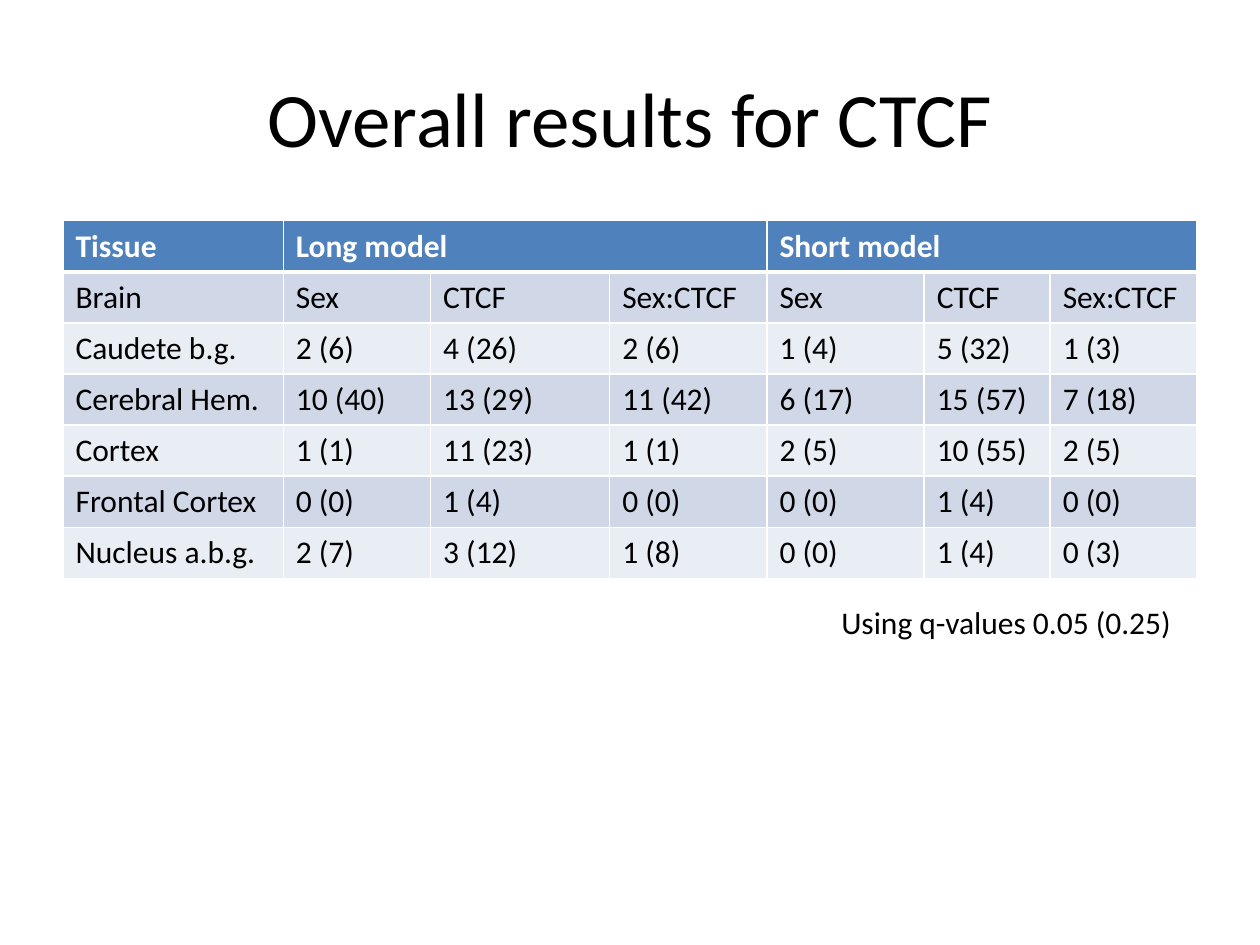
from lxml.etree import SubElement
from pptx import Presentation
from pptx.dml.color import RGBColor
from pptx.enum.text import MSO_ANCHOR, MSO_AUTO_SIZE, PP_ALIGN
from pptx.oxml.ns import qn
from pptx.util import Cm, Pt

FONT = "Calibri"
BLACK, WHITE = "000000", "FFFFFF"
HEADER_FILL = "4F81BD"
BAND_FILLS = ["D0D8E8", "E9EDF4"]

COLUMN_WIDTHS = [4.44, 2.97, 3.61, 3.17, 3.17, 2.54, 2.96]
ROW_HEIGHT = 1.03
MODEL_COLUMNS = [(1, 3), (4, 6)]
RESULTS = [
    ["Tissue", "Long model", "", "", "Short model", "", ""],
    ["Brain"] + ["Sex", "CTCF", "Sex:CTCF"] * 2,
    ["Caudete b.g.", "2 (6)", "4 (26)", "2 (6)", "1 (4)", "5 (32)", "1 (3)"],
    ["Cerebral Hem.", "10 (40)", "13 (29)", "11 (42)", "6 (17)", "15 (57)", "7 (18)"],
    ["Cortex", "1 (1)", "11 (23)", "1 (1)", "2 (5)", "10 (55)", "2 (5)"],
    ["Frontal Cortex", "0 (0)", "1 (4)", "0 (0)", "0 (0)", "1 (4)", "0 (0)"],
    ["Nucleus a.b.g.", "2 (7)", "3 (12)", "1 (8)", "0 (0)", "1 (4)", "0 (3)"],
]


def color(hex_string):
    return RGBColor.from_string(hex_string)


def format_text(text_frame, size, hex_string, bold=False):
    for paragraph in text_frame.paragraphs:
        for run in paragraph.runs:
            run.font.name = FONT
            run.font.size = Pt(size)
            run.font.bold = bold
            run.font.color.rgb = color(hex_string)


def set_borders(cell, widths):
    """Draw white borders; widths maps each side (L, R, T, B) to points."""
    properties = cell._tc.get_or_add_tcPr()
    for side, width in widths.items():
        line = SubElement(properties, qn(f"a:ln{side}"), w=str(Pt(width)))
        fill = SubElement(line, qn("a:solidFill"))
        SubElement(fill, qn("a:srgbClr"), val=WHITE)


def add_title(slide, left, top, width, height):
    title = slide.shapes.title
    title.left, title.top, title.width, title.height = map(Cm, (left, top, width, height))
    frame = title.text_frame
    frame.text = "Overall results for CTCF"
    frame.vertical_anchor = MSO_ANCHOR.MIDDLE
    frame.paragraphs[0].alignment = PP_ALIGN.CENTER
    format_text(frame, 44, BLACK)


def add_results(slide, left, top):
    results = slide.shapes.add_table(
        len(RESULTS), len(COLUMN_WIDTHS), Cm(left), Cm(top),
        Cm(sum(COLUMN_WIDTHS)), Cm(ROW_HEIGHT * len(RESULTS))).table
    for column, width in zip(results.columns, COLUMN_WIDTHS):
        column.width = Cm(width)

    for r, values in enumerate(RESULTS):
        results.rows[r].height = Cm(ROW_HEIGHT)
        is_header = r == 0
        for c, value in enumerate(values):
            cell = results.cell(r, c)
            cell.text_frame.text = value
            format_text(cell.text_frame, 18, WHITE if is_header else BLACK, is_header)
            # The rule under the header is thicker
            set_borders(cell, {"L": 1, "R": 1, "T": 3 if r == 1 else 1,
                               "B": 3 if is_header else 1})
            cell.fill.solid()
            cell.fill.fore_color.rgb = color(
                HEADER_FILL if is_header else BAND_FILLS[(r - 1) % 2])

    # Each model heading covers its three terms
    for first, last in MODEL_COLUMNS:
        results.cell(0, first).merge(results.cell(0, last))


def add_threshold_note(slide, left, top, width, height):
    note = slide.shapes.add_textbox(*map(Cm, (left, top, width, height)))
    frame = note.text_frame
    frame.text = "Using q-values 0.05 (0.25)"
    frame.word_wrap = False
    frame.auto_size = MSO_AUTO_SIZE.SHAPE_TO_FIT_TEXT
    format_text(frame, 18, BLACK)


presentation = Presentation()
presentation.slide_width, presentation.slide_height = Cm(25.4), Cm(19.05)
slide = presentation.slides.add_slide(presentation.slide_layouts[5])
add_title(slide, 1.27, 0.76, 22.86, 3.18)
add_results(slide, 1.27, 4.45)
add_threshold_note(slide, 16.71, 12.04, 7.24, 1.03)
presentation.save("out.pptx")
